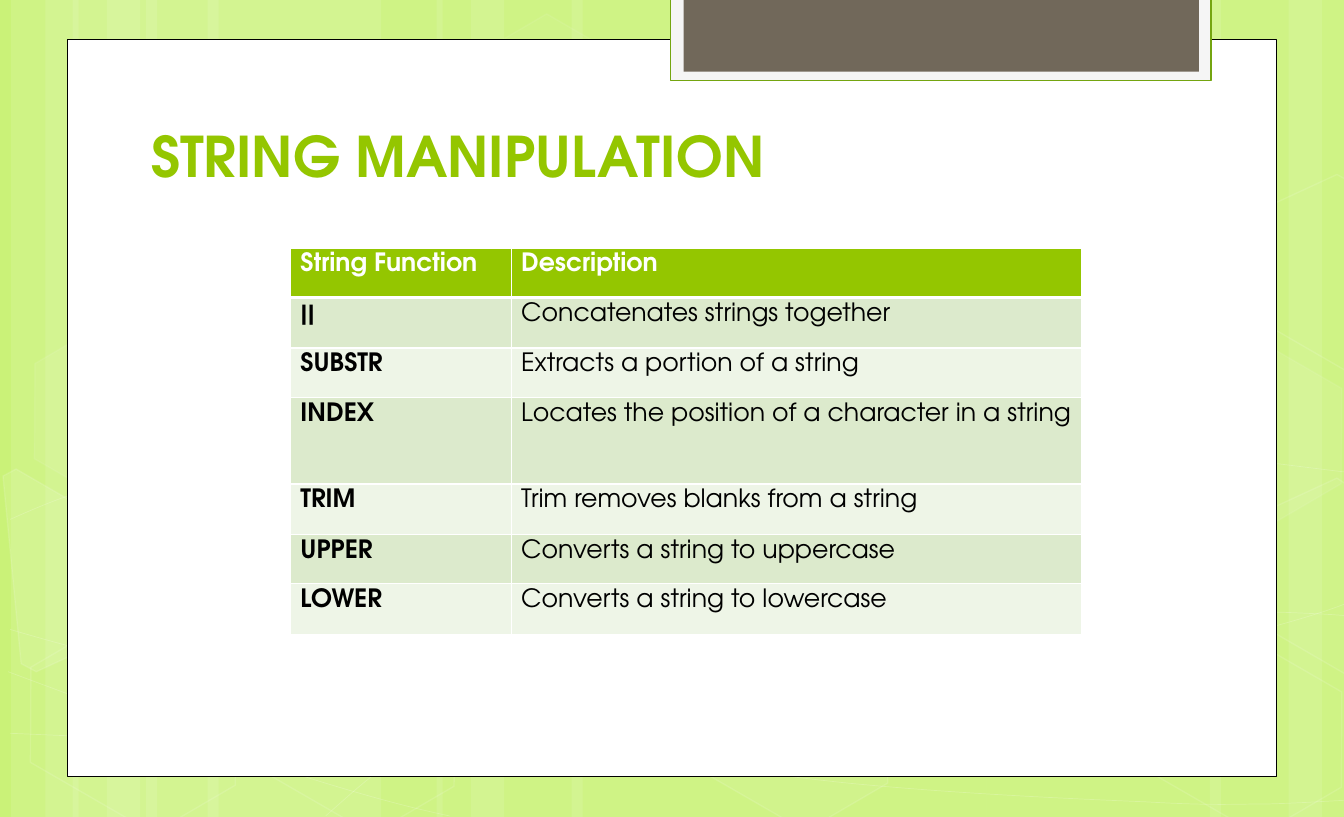
from typing import NamedTuple, Optional

from lxml.etree import SubElement
from pptx import Presentation
from pptx.dml.color import RGBColor
from pptx.enum.shapes import MSO_SHAPE as Preset
from pptx.enum.text import MSO_ANCHOR as Anchor
from pptx.oxml import parse_xml
from pptx.oxml.ns import nsdecls, qn
from pptx.util import Inches, Pt

WHITE = RGBColor(0xFF, 0xFF, 0xFF)
BLACK = RGBColor(0x00, 0x00, 0x00)
LIME = RGBColor(0x94, 0xC6, 0x00)
PALE_LIME = RGBColor(0xCA, 0xF2, 0x78)
DARK_LIME = RGBColor(0x74, 0xA5, 0x10)
SMOKE = RGBColor(0xF5, 0xF5, 0xF5)
TAUPE = RGBColor(0x71, 0x68, 0x5A)
BANDS = (RGBColor(0xDC, 0xEA, 0xCC), RGBColor(0xEE, 0xF5, 0xE7))
FONT = "TeX Gyre Adventor"
PAGE_WIDTH, PAGE_HEIGHT = 13.33, 8.1

Point = tuple[float, float]


class Style(NamedTuple):
    fill: Optional[RGBColor] = None
    fill_alpha: int = 100
    line: Optional[RGBColor] = None
    line_width: float = 1
    line_alpha: int = 100


class StripeGroup(NamedTuple):
    edge: float
    direction: int
    wide: float


class Hexagon(NamedTuple):
    left: float
    top: float
    fill_alpha: int
    line_alpha: int


class Outline(NamedTuple):
    points: list[Point]
    fill_alpha: int


class FunctionRow(NamedTuple):
    name: str
    description: str
    height: float


STRIPE = Style(WHITE, 10)
CURVE = Style(None, 100, WHITE, 0.5, 20)
STRIPE_GROUPS = [StripeGroup(1.45, 1, 2.33), StripeGroup(2.06, 1, 2.33),
                 StripeGroup(12.11, -1, 2.33), StripeGroup(5.67, 1, 4.11)]
HEXAGONS = [
    Hexagon(4.45, 0.38, 4, 8), Hexagon(6.62, 6.36, 6, 12),
    Hexagon(0.15, 6.38, 0, 12), Hexagon(0.19, 3.37, 7, 8),
    Hexagon(2.32, 6.39, 0, 12), Hexagon(11.12, 6.4, 0, 12),
    Hexagon(11.12, 3.39, 7, 8),
]
CUT_HEXAGONS = [
    Outline([(0.03, 4.72), (0.16, 4.65), (1.18, 5.24), (1.27, 6.24),
             (0.36, 6.66), (0.21, 6.58)], 10),
    Outline([(12.35, 5.16), (13.26, 4.74), (13.35, 4.8), (13.54, 6.71),
             (13.46, 6.75), (12.44, 6.16)], 4),
    Outline([(12.35, 2.15), (13.26, 1.73), (13.37, 1.79), (13.54, 3.7),
             (13.46, 3.74), (12.44, 3.15)], 0),
]
CURVES = [
    [(0.1, 7.27), (0.82, 7.3), (1.54, 7.34), (2.54, 7.32), (3.54, 7.31),
     (4.77, 7.29), (6.1, 7.18), (7.44, 7.07), (9.33, 6.87), (10.55, 6.66),
     (11.78, 6.46), (13.03, 6.13), (13.43, 5.95)],
    [(0.1, 5.15), (0.48, 4.98), (0.86, 4.82), (1.62, 4.66), (2.38, 4.5),
     (3.45, 4.26), (4.63, 4.18), (5.82, 4.1), (7.25, 4.1), (8.72, 4.18),
     (10.19, 4.26), (12.63, 4.6), (13.43, 4.69)],
    [(0.08, 6.66), (1.69, 7.26), (3.3, 7.85), (4.46, 8.09)],
    [(0.1, 6.24), (0.51, 6.36), (0.93, 6.48), (1.71, 6.65), (2.48, 6.82),
     (3.64, 7.08), (4.75, 7.27), (5.86, 7.45), (7.27, 7.64), (8.37, 7.76),
     (9.48, 7.87), (10.66, 7.92), (11.37, 7.95), (12.07, 7.99),
     (12.25, 7.97), (12.6, 7.97), (12.94, 7.96), (13.19, 7.94), (13.43, 7.93)],
    [(3.23, 8.09), (3.47, 7.88), (3.7, 7.66), (4.03, 7.46), (4.35, 7.26),
     (4.8, 7.05), (5.17, 6.9), (5.54, 6.75), (5.77, 6.69), (6.26, 6.58),
     (6.75, 6.47), (7.65, 6.31), (8.11, 6.24), (8.58, 6.17), (8.65, 6.17),
     (9.07, 6.14), (9.48, 6.12), (10.13, 6.09), (10.59, 6.07), (11.05, 6.06),
     (11.82, 6.07), (11.82, 6.07), (12.1, 6.07), (12.4, 6.07), (12.7, 6.07),
     (12.95, 6.08), (13.17, 6.09), (13.29, 6.1), (13.41, 6.11),
     (13.37, 6.11), (13.41, 6.12)],
]
COLUMN_WIDTHS = (2.19, 5.66)
ROWS = [
    FunctionRow("String Function", "Description", 0.49),
    FunctionRow("||", "Concatenates strings together", 0.5),
    FunctionRow("SUBSTR", "Extracts a portion of a string", 0.49),
    FunctionRow("INDEX", "Locates the position of a character in a string", 0.86),
    FunctionRow("TRIM", "Trim removes blanks from a string", 0.5),
    FunctionRow("UPPER", "Converts a string to uppercase", 0.49),
    FunctionRow("LOWER", "Converts a string to lowercase", 0.5),
]


def set_alpha(holder, percent: int) -> None:
    if percent < 100:
        color = holder.find(qn("a:solidFill")).find(qn("a:srgbClr"))
        SubElement(color, qn("a:alpha")).set("val", str(percent * 1000))


def apply_style(shape, style: Style) -> None:
    shape.shadow.inherit = False
    properties = shape.element.spPr
    if style.fill is None or style.fill_alpha == 0:
        shape.fill.background()
    else:
        shape.fill.solid()
        shape.fill.fore_color.rgb = style.fill
        set_alpha(properties, style.fill_alpha)
    if style.line is None:
        shape.line.fill.background()
    else:
        shape.line.color.rgb = style.line
        shape.line.width = Pt(style.line_width)
        set_alpha(properties.find(qn("a:ln")), style.line_alpha)


def add_preset(page, preset: Preset, left: float, top: float,
               width: float, height: float, style: Style):
    shape = page.shapes.add_shape(
        preset, Inches(left), Inches(top), Inches(width), Inches(height))
    apply_style(shape, style)
    return shape


def add_stripes(page, group: StripeGroup) -> None:
    for offset, width in ((0, group.wide), (-1.34, 0.67), (-1, 1.11)):
        start = group.edge + group.direction * offset
        left = start if group.direction > 0 else start - width
        add_preset(page, Preset.RECTANGLE, left, 0, width, PAGE_HEIGHT, STRIPE)


def add_outline(page, points: list[Point], closed: bool, style: Style):
    places = [(Inches(x), Inches(y)) for x, y in points]
    builder = page.shapes.build_freeform(*places[0])
    builder.add_line_segments(places[1:], close=closed)
    shape = builder.convert_to_shape()
    apply_style(shape, style)
    return shape


def add_curve(page, controls: list[Point]) -> None:
    shape = add_outline(page, controls, False, CURVE)
    segments = list(shape.element.iter(qn("a:lnTo")))
    outline = segments[0].getparent()
    for first in range(0, len(segments), 3):
        bend = SubElement(outline, qn("a:cubicBezTo"))
        for segment in segments[first:first + 3]:
            bend.append(segment[0])
            outline.remove(segment)


def write_text(frame, text: str, size: float, color: RGBColor, bold: bool) -> None:
    frame.text = text
    for span in frame.paragraphs[0].runs:
        span.font.name, span.font.size, span.font.bold = FONT, Pt(size), bold
        span.font.color.rgb = color


def set_borders(cell, top: float, bottom: float) -> None:
    properties = cell._tc.get_or_add_tcPr()
    for index, (side, width) in enumerate(zip("LRTB", (1, 1, top, bottom))):
        properties.insert(index, parse_xml(
            f'<a:ln{side} {nsdecls("a")} w="{Pt(width)}"><a:solidFill>'
            f'<a:srgbClr val="{WHITE}"/></a:solidFill></a:ln{side}>'))


def add_function_table(page) -> None:
    height = sum(row.height for row in ROWS)
    table = page.shapes.add_table(
        len(ROWS), len(COLUMN_WIDTHS), Inches(2.88), Inches(2.46),
        Inches(sum(COLUMN_WIDTHS)), Inches(height)).table
    for column, width in zip(table.columns, COLUMN_WIDTHS):
        column.width = Inches(width)
    for r, row in enumerate(ROWS):
        table.rows[r].height = Inches(row.height)
        for c, text in enumerate((row.name, row.description)):
            cell = table.cell(r, c)
            cell.margin_left, cell.margin_right = Inches(0.1), Inches(0.05)
            cell.margin_top = Inches(0.05)
            cell.margin_bottom = Inches(0)
            cell.fill.solid()
            cell.fill.fore_color.rgb = BANDS[(r - 1) % 2] if r else LIME
            set_borders(cell, 3 if r == 1 else 1, 3 if r == 0 else 1)
            write_text(cell.text_frame, text, 18, BLACK if r else WHITE, r == 0 or c == 0)


def main() -> None:
    """Build the string manipulation slide."""
    deck = Presentation()
    deck.slide_width, deck.slide_height = Inches(PAGE_WIDTH), Inches(PAGE_HEIGHT)
    page = deck.slides.add_slide(deck.slide_layouts[6])
    page.background.fill.solid()
    page.background.fill.fore_color.rgb = PALE_LIME
    for group in STRIPE_GROUPS:
        add_stripes(page, group)
    for controls in CURVES:
        add_curve(page, controls)
    for item in HEXAGONS:
        hexagon = add_preset(page, Preset.HEXAGON, item.left, item.top, 2.34, 1.64,
                             Style(WHITE, item.fill_alpha, WHITE, 1, item.line_alpha))
        hexagon.rotation = 30
        hexagon.adjustments[0] = 0.285
    for outline in CUT_HEXAGONS:
        add_outline(page, outline.points, True, Style(WHITE, outline.fill_alpha, WHITE, 1, 12))
    add_preset(page, Preset.RECTANGLE, 0.67, 0.39, 11.99, 7.31, Style(WHITE, 100, BLACK, 0.5))
    add_preset(page, Preset.RECTANGLE, 6.65, -0.03, 5.36, 0.83,
               Style(SMOKE, 100, DARK_LIME, 1.25))
    add_preset(page, Preset.RECTANGLE, 6.78, -0.03, 5.11, 0.74, Style(TAUPE))
    title = page.shapes.add_textbox(Inches(1.4), Inches(0.84), Inches(10.24), Inches(1.08))
    title.text_frame.word_wrap = True
    title.text_frame.vertical_anchor = Anchor.BOTTOM
    write_text(title.text_frame, "STRING MANIPULATION", 40, LIME, True)
    add_function_table(page)
    deck.save("out.pptx")


main()
